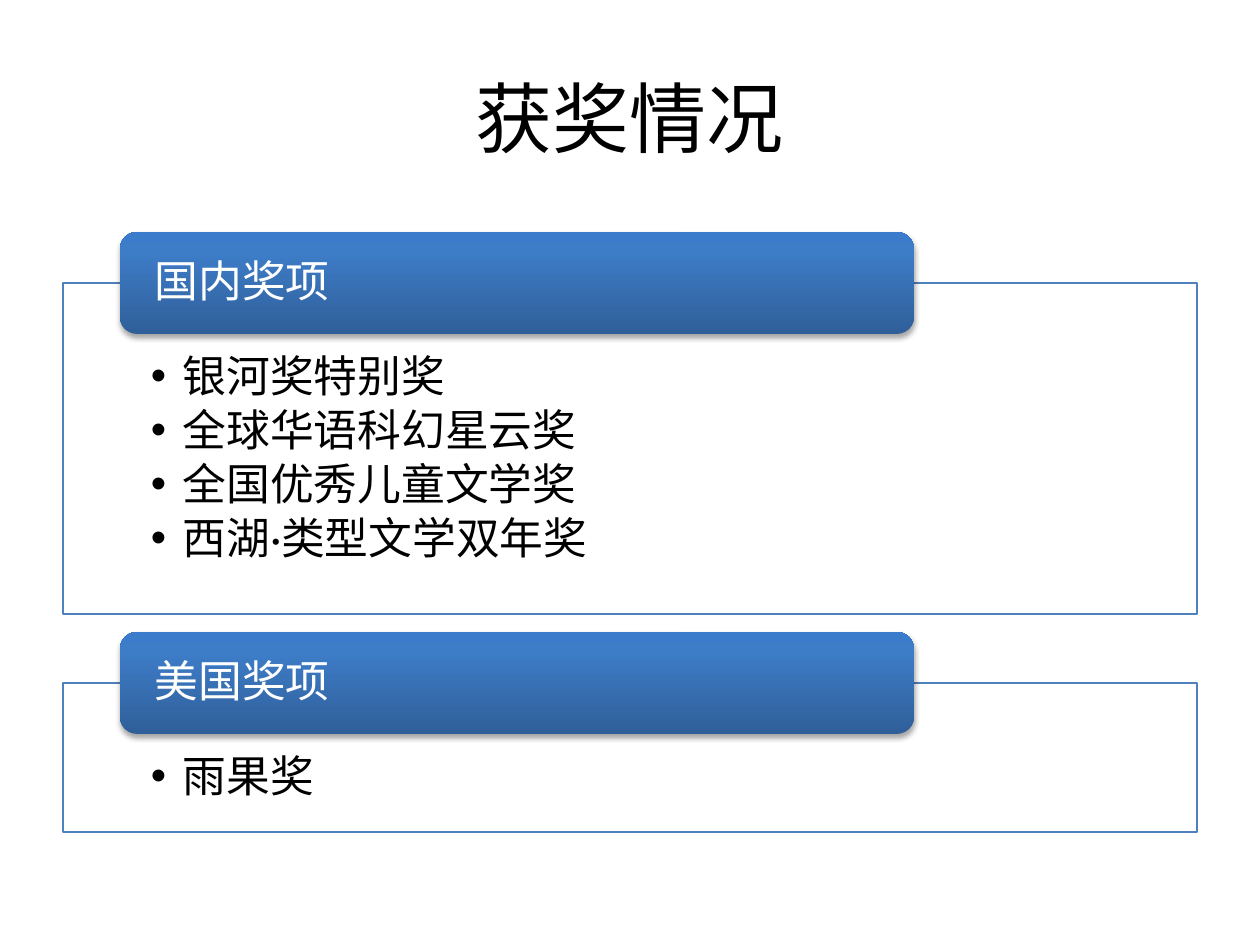
from typing import NamedTuple

from lxml import etree
from pptx import Presentation
from pptx.dml.color import RGBColor
from pptx.enum.shapes import MSO_SHAPE
from pptx.enum.text import MSO_ANCHOR, PP_ALIGN
from pptx.oxml import parse_xml
from pptx.oxml.ns import nsdecls, qn
from pptx.util import Emu, Pt

PX = 914400 // 126
RECT, ROUNDED = MSO_SHAPE.RECTANGLE, MSO_SHAPE.ROUNDED_RECTANGLE
TOP, MIDDLE = MSO_ANCHOR.TOP, MSO_ANCHOR.MIDDLE
LEFT, CENTER = PP_ALIGN.LEFT, PP_ALIGN.CENTER

BLACK = RGBColor(0x00, 0x00, 0x00)
WHITE = RGBColor(0xFF, 0xFF, 0xFF)
BLUE = RGBColor(0x4F, 0x81, 0xBD)
HEADER_STOPS = ((0, RGBColor(0x2F, 0x5F, 0x99)),
                (80, RGBColor(0x3D, 0x7C, 0xC7)),
                (100, RGBColor(0x3A, 0x7C, 0xCB)))
FONT = "Calibri"
FRAME_LEFT, FRAME_WIDTH = 63, 1134
HEADER_LEFT, HEADER_WIDTH, HEADER_HEIGHT = 120, 794, 102
BULLET_INDENT = 32


class AwardGroup(NamedTuple):
    name: str
    top: int
    height: int
    awards: tuple[str, ...]


GROUPS = (
    AwardGroup("国内奖项", 283, 331,
               ("银河奖特别奖", "全球华语科幻星云奖", "全国优秀儿童文学奖", "西湖·类型文学双年奖")),
    AwardGroup("美国奖项", 683, 149, ("雨果奖",)),
)


def px(*lengths: int) -> list[Emu]:
    return [Emu(length * PX) for length in lengths]


def write(shape, lines: tuple[str, ...], size: int, color: RGBColor, align,
          anchor, insets: tuple[int, int, int, int], spacing: float) -> None:
    frame = shape.text_frame
    left, top, right, bottom = px(*insets)
    frame_format = {"word_wrap": True, "vertical_anchor": anchor,
                    "margin_left": left, "margin_top": top,
                    "margin_right": right, "margin_bottom": bottom}
    for name, value in frame_format.items():
        setattr(frame, name, value)
    for index, line in enumerate(lines):
        paragraph = frame.paragraphs[0] if index == 0 else frame.add_paragraph()
        paragraph.alignment = align
        paragraph.line_spacing = spacing
        run = paragraph.add_run()
        run.text = line
        for name, value in {"name": FONT, "size": Pt(size)}.items():
            setattr(run.font, name, value)
        run.font.color.rgb = color


def add_bullets(shape) -> None:
    indent = BULLET_INDENT * PX
    for paragraph in shape.text_frame.paragraphs:
        properties = paragraph._p.get_or_add_pPr()
        properties.set("marL", str(indent))
        properties.set("indent", str(-indent))
        after = etree.SubElement(properties, qn("a:spcAft"))
        etree.SubElement(after, qn("a:spcPct"), val="15000")
        etree.SubElement(properties, qn("a:buFont"), typeface="Arial")
        etree.SubElement(properties, qn("a:buChar"), char="•")


def style_header(header) -> None:
    """Vertical gradient and a soft shadow below."""
    stops = "".join(f'<a:gs pos="{pos * 1000}"><a:srgbClr val="{color}"/></a:gs>'
                    for pos, color in HEADER_STOPS)
    gradient = parse_xml(f'<a:gradFill {nsdecls("a")} rotWithShape="1"><a:gsLst>{stops}</a:gsLst>'
                         '<a:lin ang="16200000" scaled="0"/></a:gradFill>')
    shadow = parse_xml(f'<a:outerShdw {nsdecls("a")} blurRad="40000" dist="23000" dir="5400000" '
                       f'rotWithShape="0"><a:srgbClr val="{BLACK}"><a:alpha val="35000"/>'
                       '</a:srgbClr></a:outerShdw>')
    properties = header._element.spPr
    properties.find(qn("a:prstGeom")).addnext(gradient)
    properties.find(qn("a:effectLst")).append(shadow)


def add_group(slide, group: AwardGroup) -> None:
    # Framed list of awards
    frame = slide.shapes.add_shape(
        RECT, *px(FRAME_LEFT, group.top, FRAME_WIDTH, group.height))
    frame.shadow.inherit = False
    frame.fill.solid()
    frame.fill.fore_color.rgb = WHITE
    etree.SubElement(frame._element.spPr.find(qn("a:solidFill"))[0],
                     qn("a:alpha"), val="90000")
    frame.line.color.rgb = BLUE
    frame.line.width = Pt(0.75)
    write(frame, group.awards, 25, BLACK, LEFT, TOP, (88, 72, 88, 24), 0.9)
    add_bullets(frame)

    # Header centred on the upper edge of the frame
    header = slide.shapes.add_shape(
        ROUNDED, *px(HEADER_LEFT, group.top - HEADER_HEIGHT // 2,
                     HEADER_WIDTH, HEADER_HEIGHT))
    header.shadow.inherit = False
    header.line.fill.background()
    style_header(header)
    write(header, (group.name,), 25, WHITE, LEFT, MIDDLE, (30, 0, 30, 0), 0.9)


presentation = Presentation()
presentation.slide_width, presentation.slide_height = px(1260, 945)
slide = presentation.slides.add_slide(presentation.slide_layouts[6])

# Title
title = slide.shapes.add_textbox(*px(63, 38, 1134, 157))
write(title, ("获奖情况",), 44, BLACK, CENTER, MIDDLE, (13, 6, 13, 6), 1.0)

# Award groups
for award_group in GROUPS:
    add_group(slide, award_group)

presentation.save("out.pptx")
